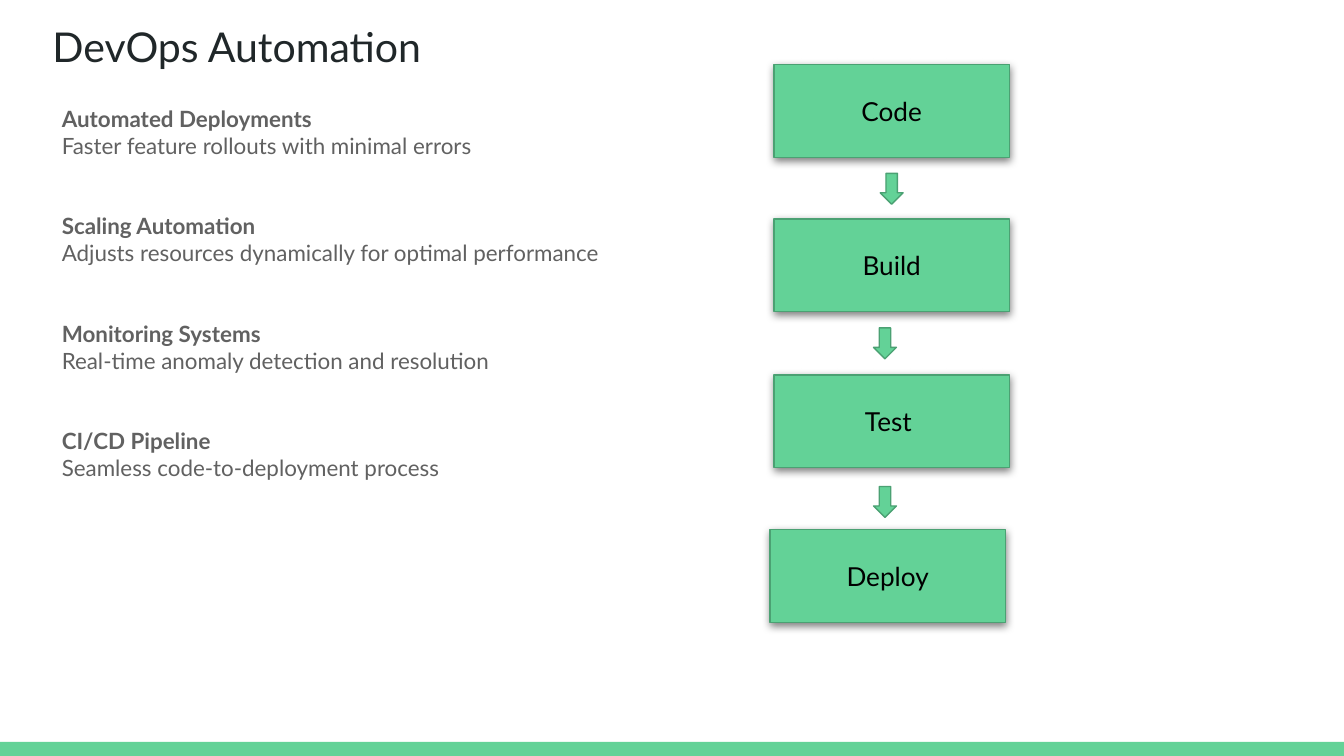
from typing import NamedTuple

from lxml.etree import SubElement
from pptx import Presentation
from pptx.dml.color import RGBColor
from pptx.enum.shapes import MSO_SHAPE
from pptx.enum.text import MSO_ANCHOR, MSO_AUTO_SIZE, PP_ALIGN
from pptx.oxml.ns import qn
from pptx.util import Inches, Pt

FONT = "Lato"
SLIDE_WIDTH = 10
SLIDE_HEIGHT = SLIDE_WIDTH * 9 / 16
COLORS = {
    "green": "63D297",
    "outline": "4BA173",
    "title": "202729",
    "body": "616161",
    "label": "000000",
    "shadow": "000000",
}


class Stage(NamedTuple):
    label: str
    left: float
    top: float


class Arrow(NamedTuple):
    left: float
    top: float


class Topic(NamedTuple):
    heading: str
    detail: str


STAGES = [
    Stage("Code", 5.76, 0.48),
    Stage("Build", 5.76, 1.63),
    Stage("Test ", 5.76, 2.79),
    Stage("Deploy", 5.73, 3.94),
]
ARROWS = [Arrow(6.55, 1.29), Arrow(6.5, 2.44), Arrow(6.5, 3.62)]
TOPICS = [
    Topic("Automated Deployments", "Faster feature rollouts with minimal errors"),
    Topic("Scaling Automation", "Adjusts resources dynamically for optimal performance"),
    Topic("Monitoring Systems", "Real-time anomaly detection and resolution"),
    Topic("CI/CD Pipeline", "Seamless code-to-deployment process"),
]


def color(name: str) -> RGBColor:
    return RGBColor.from_string(COLORS[name])


def place(shape, left: float, top: float, width: float, height: float) -> None:
    shape.left, shape.top = Inches(left), Inches(top)
    shape.width, shape.height = Inches(width), Inches(height)


def set_margins(frame, left: float, top: float, right: float, bottom: float) -> None:
    frame.margin_left, frame.margin_top = Inches(left), Inches(top)
    frame.margin_right, frame.margin_bottom = Inches(right), Inches(bottom)


def style_text(para, size: int, color_name: str, bold: bool = False) -> None:
    para.font.name = FONT
    para.font.size = Pt(size)
    para.font.bold = bold
    para.font.color.rgb = color(color_name)


def add_green_shape(slide, kind, left: float, top: float, width: float,
                    height: float, outlined: bool = True):
    shape = slide.shapes.add_shape(
        kind, Inches(left), Inches(top), Inches(width), Inches(height))
    shape.shadow.inherit = False
    shape.fill.solid()
    shape.fill.fore_color.rgb = color("green")
    if outlined:
        shape.line.color.rgb = color("outline")
        shape.line.width = Pt(0.75)
    else:
        shape.line.fill.background()
    return shape


def add_drop_shadow(shape) -> None:
    effects = shape.element.spPr.find(qn("a:effectLst"))
    shadow = SubElement(effects, qn("a:outerShdw"), blurRad=str(Pt(4.5)),
                        dist=str(Pt(1.5)), dir="5400000", algn="bl", rotWithShape="0")
    tint = SubElement(shadow, qn("a:srgbClr"), val=COLORS["shadow"])
    SubElement(tint, qn("a:alpha"), val="50000")


def add_stage(slide, stage: Stage) -> None:
    box = add_green_shape(slide, MSO_SHAPE.RECTANGLE, stage.left, stage.top, 1.75, 0.69)
    add_drop_shadow(box)
    frame = box.text_frame
    set_margins(frame, 0.1, 0.1, 0.1, 0.1)
    frame.vertical_anchor = MSO_ANCHOR.MIDDLE
    para = frame.paragraphs[0]
    para.text = stage.label
    para.alignment = PP_ALIGN.CENTER
    style_text(para, 14, "label")


def fill_title(title) -> None:
    place(title, 0.29, -0.05, 9.32, 0.78)
    frame = title.text_frame
    set_margins(frame, 0.1, 0.1, 0.1, 0.1)
    frame.vertical_anchor = MSO_ANCHOR.MIDDLE
    frame.auto_size = MSO_AUTO_SIZE.NONE
    para = frame.paragraphs[0]
    para.text = "DevOps Automation"
    para.alignment = PP_ALIGN.LEFT
    style_text(para, 22, "title")


def fill_topics(body) -> None:
    place(body, 0.25, 0.78, 5.71, 3.04)
    frame = body.text_frame
    set_margins(frame, 0.21, 0, 0, 0.21)
    frame.vertical_anchor = MSO_ANCHOR.TOP
    frame.auto_size = MSO_AUTO_SIZE.NONE
    for index, topic in enumerate(TOPICS):
        for text, is_heading in ((topic.heading, True), (topic.detail, False)):
            is_first = index == 0 and is_heading
            para = frame.paragraphs[0] if is_first else frame.add_paragraph()
            para.text = text
            properties = para._p.get_or_add_pPr()
            properties.set("marL", "0")
            properties.set("indent", "0")
            SubElement(properties, qn("a:buNone"))
            para.space_before = Pt(28.8 if is_heading and not is_first else 0)
            style_text(para, 12, "body", bold=is_heading)


def main() -> None:
    deck = Presentation()
    deck.slide_width, deck.slide_height = Inches(SLIDE_WIDTH), Inches(SLIDE_HEIGHT)
    slide = deck.slides.add_slide(deck.slide_layouts.get_by_name("Title and Content"))
    fill_title(slide.shapes.title)
    fill_topics(slide.placeholders[1])
    add_green_shape(slide, MSO_SHAPE.RECTANGLE, 0, 5.52, SLIDE_WIDTH,
                    SLIDE_HEIGHT - 5.52, outlined=False)
    for stage in STAGES:
        add_stage(slide, stage)
    for arrow in ARROWS:
        add_green_shape(slide, MSO_SHAPE.DOWN_ARROW, arrow.left, arrow.top, 0.17, 0.23)
    deck.save("out.pptx")


if __name__ == "__main__":
    main()
